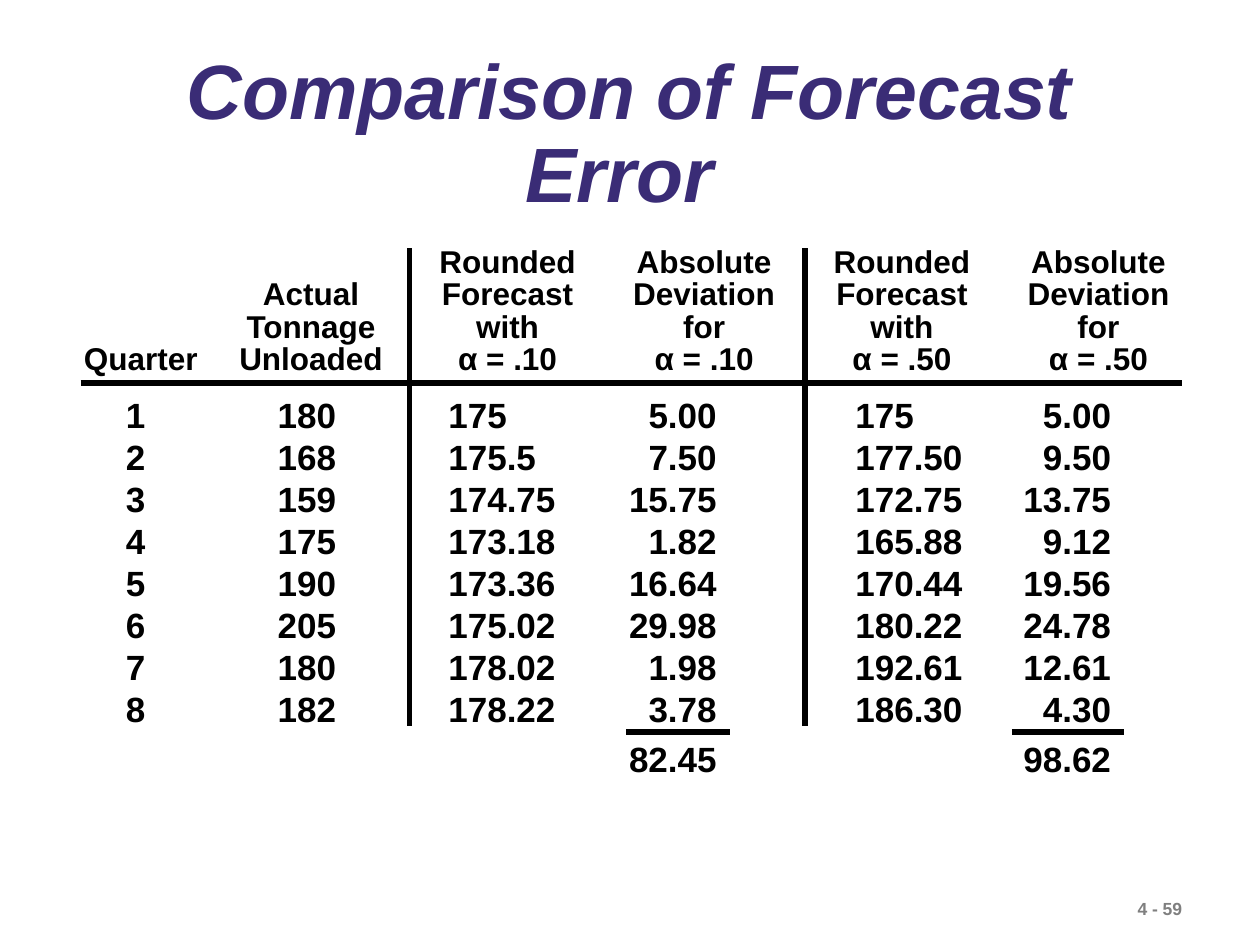
from lxml.etree import SubElement
from pptx import Presentation
from pptx.dml.color import RGBColor
from pptx.enum.shapes import MSO_CONNECTOR as Conn
from pptx.enum.text import MSO_ANCHOR as Anchor, PP_ALIGN as Align
from pptx.oxml.ns import qn
from pptx.util import Inches, Pt

BLACK, GREY, PURPLE = "000000", "7F7F7F", "3A2C76"

HEAD = [
    ["", "", "", "Rounded", "Absolute", "Rounded", "Absolute"],
    ["", "", "Actual", "Forecast", "Deviation", "Forecast", "Deviation"],
    ["", "", "Tonnage", "with", "for", "with", "for"],
    ["", "Quarter", "Unloaded", "α = .10", "α = .10", "α = .50", "α = .50"],
]
ROWS = [
    ["1", "180", "175", "5.00", "175", "5.00"],
    ["2", "168", "175.5", "7.50", "177.50", "9.50"],
    ["3", "159", "174.75", "15.75", "172.75", "13.75"],
    ["4", "175", "173.18", "1.82", "165.88", "9.12"],
    ["5", "190", "173.36", "16.64", "170.44", "19.56"],
    ["6", "205", "175.02", "29.98", "180.22", "24.78"],
    ["7", "180", "178.02", "1.98", "192.61", "12.61"],
    ["8", "182", "178.22", "3.78", "186.30", "4.30"],
]
TOTAL = ["", "", "", "82.45", "", "98.62"]
HEAD_TABS = [(x, "ctr") for x in (0.53, 1.88, 3.44, 5, 6.57, 8.13)]
BODY_TABS = [(1.67, "r"), (2.56, "l"), (4.69, "r"), (5.79, "l"), (7.82, "r")]


def color(code):
    return RGBColor.from_string(code)


class Deck:
    """Holds the font, the line width and the current slide."""

    def __init__(self, font="Arial", width=3):
        self.font, self.width = font, width
        self.prs = Presentation()
        self.prs.slide_width, self.prs.slide_height = Inches(10), Inches(7.5)
        self.slide = self.prs.slides.add_slide(self.prs.slide_layouts[6])

    def text(self, box, lines, size, tone=BLACK, tabs=(), space=None,
             align=None, anchor=Anchor.TOP, italic=None):
        frame = self.slide.shapes.add_textbox(*map(Inches, box)).text_frame
        frame.word_wrap = True
        frame.vertical_anchor = anchor
        for num, line in enumerate(lines):
            para = frame.add_paragraph() if num else frame.paragraphs[0]
            if tabs:
                self.tabs(para, tabs)
            para.alignment, para.line_spacing = align, space
            run = para.add_run()
            run.text = line
            font = run.font
            font.name, font.size, font.bold = self.font, Pt(size), True
            font.italic, font.color.rgb = italic, color(tone)
        return frame

    def tabs(self, para, stops):
        group = SubElement(para._p.get_or_add_pPr(), qn("a:tabLst"))
        for pos, kind in stops:
            SubElement(group, qn("a:tab"), pos=str(Inches(pos)), algn=kind)

    def line(self, *ends):
        rule = self.slide.shapes.add_connector(Conn.STRAIGHT, *map(Inches, ends))
        rule.line.color.rgb = color(BLACK)
        rule.line.width = Pt(self.width)
        SubElement(rule._element.spPr, qn("a:effectLst"))


def main():
    deck = Deck()
    deck.text((8.93, 7.08, 1.07, 0.27), ["4 - 59"], 10, GREY)
    deck.text((0.75, 0.36, 8.5, 1.44), ["Comparison of Forecast Error "], 44,
              PURPLE, space=0.9, align=Align.CENTER, anchor=Anchor.MIDDLE,
              italic=True)
    deck.text((0.49, 1.92, 9, 1.12), ["\t".join(row) for row in HEAD], 18,
              tabs=HEAD_TABS, space=0.85)
    body = deck.text((0.9, 3.07, 8.65, 3.51),
                     ["\t".join(row) for row in ROWS + [TOTAL]], 20,
                     tabs=BODY_TABS)
    body.paragraphs[-1].space_before = Pt(5)

    deck.line(0.64, 3.04, 9.38, 3.04)
    for left, right in ((4.97, 5.79), (8.03, 8.92)):
        deck.line(left, 5.81, right, 5.81)
    for x in (3.25, 6.39):
        deck.line(x, 1.97, x, 5.76)
    deck.prs.save("out.pptx")


if __name__ == "__main__":
    main()
